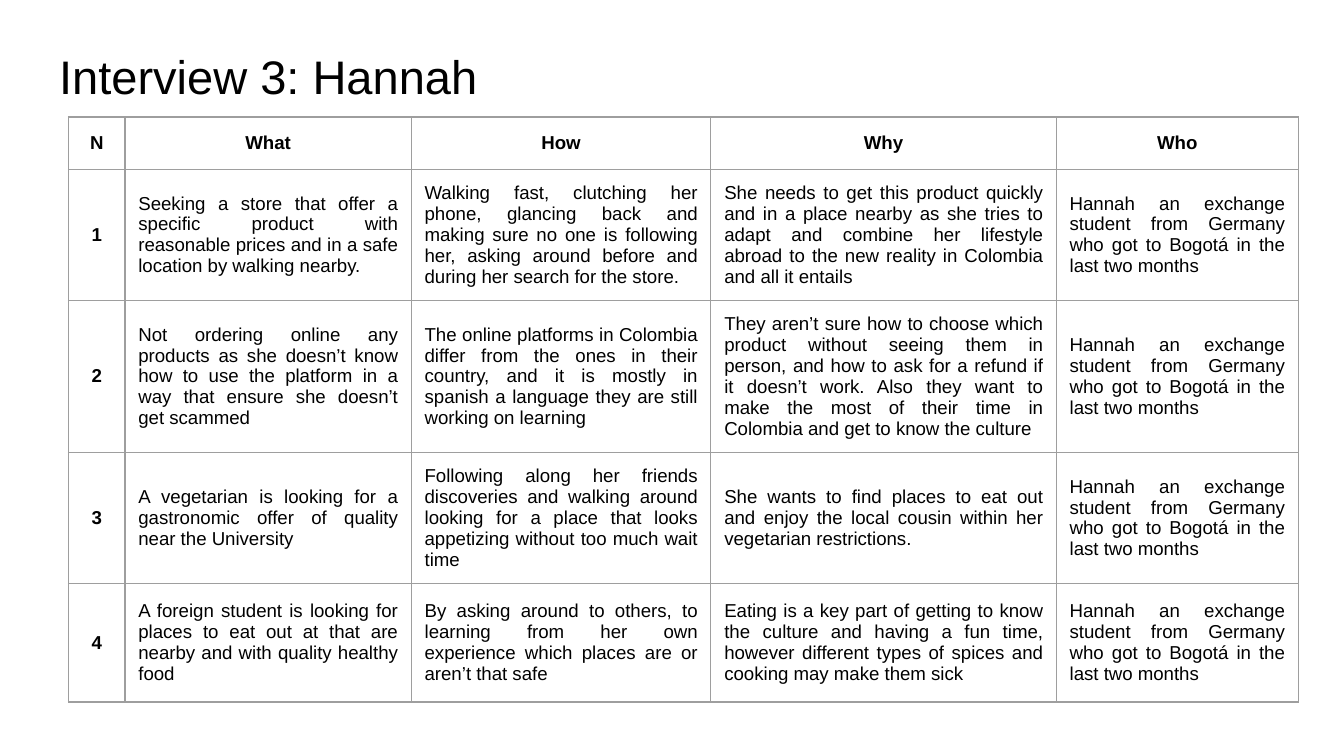
from lxml.etree import SubElement
from pptx import Presentation
from pptx.dml.color import RGBColor
from pptx.enum.text import MSO_ANCHOR, PP_ALIGN
from pptx.oxml.ns import qn
from pptx.util import Inches, Pt

HEADINGS = ["N", "What", "How", "Why", "Who"]
WHO = "Hannah an exchange student from Germany who got to Bogotá in the last two months"
FINDINGS = [
    ("Seeking a store that offer a specific product with reasonable prices and in a safe "
     "location by walking nearby.",
     "Walking fast, clutching her phone, glancing back and making sure no one is following "
     "her, asking around before and during her search for the store.",
     "She needs to get this product quickly and in a place nearby as she tries to adapt and "
     "combine her lifestyle abroad to the new reality in Colombia and all it entails"),
    ("Not ordering online any products as she doesn’t know how to use the platform in a way "
     "that ensure she doesn’t get scammed",
     "The online platforms in Colombia differ from the ones in their country, and it is "
     "mostly in spanish a language they are still working on learning",
     "They aren’t sure how to choose which product without seeing them in person, and how to "
     "ask for a refund if it doesn’t work. Also they want to make the most of their time in "
     "Colombia and get to know the culture"),
    ("A vegetarian is looking for a gastronomic offer of quality near the University ",
     "Following along her friends discoveries and walking around looking for a place that "
     "looks appetizing without too much wait time",
     "She wants to find places to eat out and enjoy the local cousin within her vegetarian "
     "restrictions."),
    ("A foreign student is looking for places to eat out at that are nearby and with quality "
     "healthy food",
     "By asking around to others, to learning from her own experience which places are or "
     "aren’t that safe",
     "Eating is a key part of getting to know the culture and having a fun time, however "
     "different types of spices and cooking may make them sick"),
]
COLUMN_WIDTHS = [0.42, 2.13, 2.23, 2.57, 1.8]
HEADER_HEIGHT, ROW_HEIGHT = 0.39, 0.88


def color(value):
    """Turn a hex string into a colour."""
    return RGBColor.from_string(value)


def format_text(frame, size, alignment, bold=False):
    """Style every run and align every paragraph of a text frame."""
    for para in frame.paragraphs:
        para.alignment = alignment
        for span in para.runs:
            span.font.name = "Arial"
            span.font.size = Pt(size)
            span.font.bold = bold
            span.font.color.rgb = color("000000")


def set_margins(item):
    """Give a cell or text frame equal margins."""
    item.margin_left = item.margin_right = Inches(0.1)
    item.margin_top = item.margin_bottom = Inches(0.1)


def add_borders(cell):
    """Draw thin grey lines on all four sides of a cell."""
    properties = cell._tc.get_or_add_tcPr()
    for position, side in enumerate(("a:lnL", "a:lnR", "a:lnT", "a:lnB")):
        line = properties.makeelement(qn(side), {"w": str(Pt(0.75))})
        fill = SubElement(line, qn("a:solidFill"))
        SubElement(fill, qn("a:srgbClr"), val="9E9E9E")
        properties.insert(position, line)


def fill_cell(cell, text, is_label):
    """Write a centred bold label or a justified finding into a cell."""
    cell.text_frame.text = text
    cell.vertical_anchor = MSO_ANCHOR.MIDDLE
    cell.fill.background()
    set_margins(cell)
    alignment = PP_ALIGN.CENTER if is_label else PP_ALIGN.JUSTIFY
    format_text(cell.text_frame, 10, alignment, is_label)
    add_borders(cell)


def add_title(page, text):
    """Place and format the title."""
    title = page.shapes.title
    title.left, title.top = Inches(0.34), Inches(0.24)
    title.width, title.height = Inches(9.32), Inches(0.63)
    frame = title.text_frame
    frame.text = text
    frame.word_wrap = True
    frame.vertical_anchor = MSO_ANCHOR.BOTTOM
    set_margins(frame)
    format_text(frame, 25.2, PP_ALIGN.LEFT)


def add_interview_table(page):
    """Add the table of numbered interview findings."""
    findings = [(str(number), *finding, WHO) for number, finding in enumerate(FINDINGS, 1)]
    rows = [HEADINGS, *findings]
    height = HEADER_HEIGHT + ROW_HEIGHT * len(FINDINGS)
    table = page.shapes.add_table(
        len(rows), len(HEADINGS), Inches(0.51), Inches(0.87),
        Inches(sum(COLUMN_WIDTHS)), Inches(height)).table
    table.first_row = table.horz_banding = False
    for column, width in zip(table.columns, COLUMN_WIDTHS):
        column.width = Inches(width)
    for row_index, texts in enumerate(rows):
        table.rows[row_index].height = Inches(ROW_HEIGHT if row_index else HEADER_HEIGHT)
        for column_index, text in enumerate(texts):
            is_label = row_index == 0 or column_index == 0
            fill_cell(table.cell(row_index, column_index), text, is_label)


def main():
    """Build and save the interview slide in 16:9 format."""
    deck = Presentation()
    deck.slide_width, deck.slide_height = Inches(10), Inches(10 * 9 / 16)
    page = deck.slides.add_slide(deck.slide_layouts[5])
    add_title(page, "Interview 3: Hannah")
    add_interview_table(page)
    deck.save("out.pptx")


if __name__ == "__main__":
    main()
